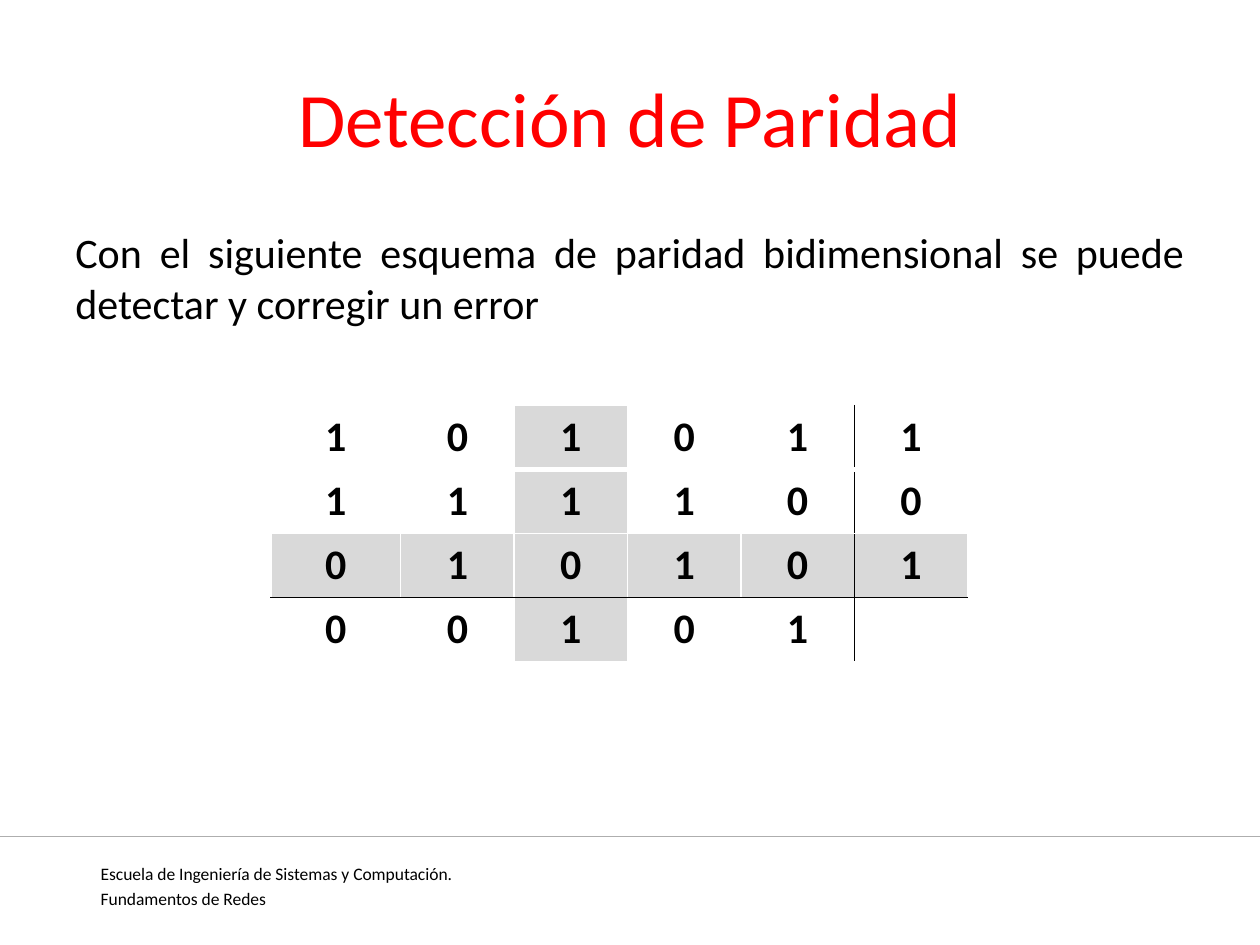
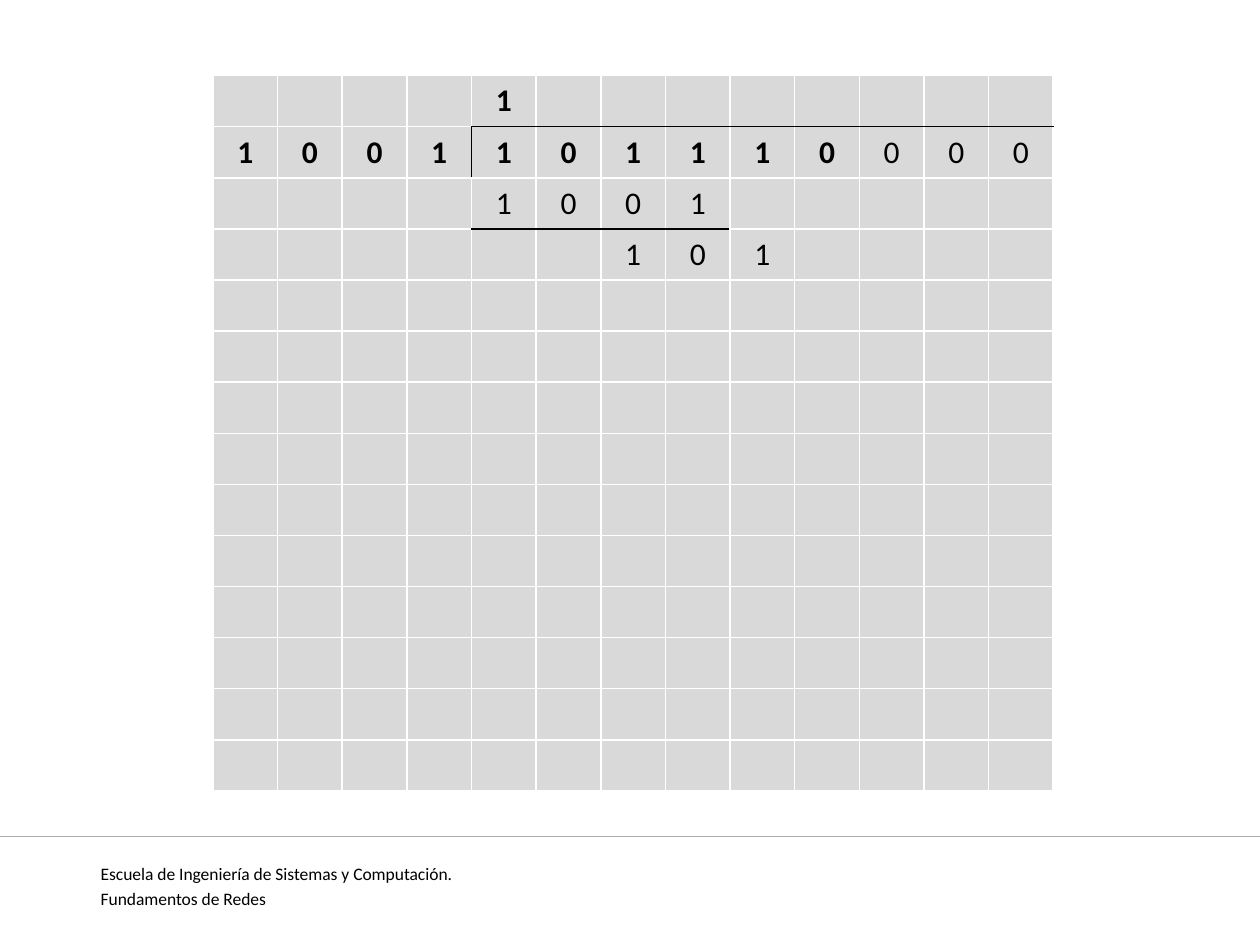
from dataclasses import dataclass

from lxml import etree
from pptx import Presentation
from pptx.dml.color import RGBColor
from pptx.enum.shapes import MSO_CONNECTOR
from pptx.enum.text import MSO_ANCHOR, PP_ALIGN
from pptx.oxml.ns import qn
from pptx.util import Inches, Pt

STRAIGHT = MSO_CONNECTOR.STRAIGHT
MIDDLE = MSO_ANCHOR.MIDDLE
CENTER = PP_ALIGN.CENTER
JUSTIFY = PP_ALIGN.JUSTIFY

FONT = "Calibri"
COLORS = {
    "title": "FF0000",
    "text": "000000",
    "rule": "000000",
    "grid": "FFFFFF",
    "shade": "D9D9D9",
    "footer_line": "AEAEAE",
}
FOOTER = ["Escuela de Ingeniería de Sistemas y Computación.", "Fundamentos de Redes"]
TITLE_ONLY, BLANK = 5, 6


@dataclass(frozen=True)
class Rule:
    """A line on the right ("R") or bottom ("B") side of a block of cells."""
    side: str
    rows: range
    cols: range
    color: str = "rule"
    points: float = 1


@dataclass(frozen=True)
class BitGrid:
    """A table of bits; a space in a row stands for an empty cell."""
    left: float
    top: float
    height: float
    col_widths: list[float]
    bits: list[str]
    size: int
    bold_counts: list[int]  # leading bold cells of each row
    shaded_rows: range
    shaded_cols: range
    rules: list[Rule]


def style(paragraph, size: float, color: str = "text", bold: bool = False,
          align=CENTER) -> None:
    paragraph.alignment = align
    font = paragraph.font
    font.name, font.size, font.bold = FONT, Pt(size), bold
    font.color.rgb = RGBColor.from_string(COLORS[color])


def add_text(slide, left: float, top: float, width: float, height: float,
             lines: list[str], size: float) -> None:
    frame = slide.shapes.add_textbox(
        Inches(left), Inches(top), Inches(width), Inches(height)).text_frame
    frame.word_wrap = True
    frame.text = "\n".join(lines)
    for paragraph in frame.paragraphs:
        style(paragraph, size, align=JUSTIFY)
        paragraph.space_before = Pt(size * 0.2)


def add_footer(slide) -> None:
    add_text(slide, 0.7, 6.8, 8.98, 0.39, FOOTER, 10)
    line = slide.shapes.add_connector(
        STRAIGHT, Inches(0), Inches(6.64), Inches(10), Inches(6.64))
    line.line.color.rgb = RGBColor.from_string(COLORS["footer_line"])
    line.line.width = Pt(0.75)
    etree.SubElement(line._element.spPr, qn("a:effectLst"))


def set_title(slide, text: str) -> None:
    title = slide.shapes.title
    title.left, title.top = Inches(0.5), Inches(0.3)
    title.width, title.height = Inches(9), Inches(1.25)
    title.text_frame.text = text
    title.text_frame.vertical_anchor = MIDDLE
    style(title.text_frame.paragraphs[0], 44, "title")


def add_border(cell, side: str, color: str, points: float) -> None:
    line = etree.SubElement(cell._tc.get_or_add_tcPr(), qn(f"a:ln{side}"),
                            w=str(Pt(points)))
    fill = etree.SubElement(line, qn("a:solidFill"))
    etree.SubElement(fill, qn("a:srgbClr"), val=COLORS[color])


def cell_edges(rules: list[Rule]) -> dict[tuple[int, int, str], tuple[str, float]]:
    """Give each rule to the cells on both of its sides."""
    edges = {}
    for rule in rules:
        for row in rule.rows:
            for col in rule.cols:
                neighbour = (row, col + 1, "L") if rule.side == "R" else (row + 1, col, "T")
                edges[row, col, rule.side] = edges[neighbour] = (rule.color, rule.points)
    return edges


def add_bit_grid(slide, grid: BitGrid) -> None:
    table = slide.shapes.add_table(
        len(grid.bits), len(grid.col_widths), Inches(grid.left), Inches(grid.top),
        Inches(sum(grid.col_widths)), Inches(grid.height)).table
    table.first_row = table.horz_banding = False
    for column, width in zip(table.columns, grid.col_widths):
        column.width = Inches(width)
    edges = cell_edges(grid.rules)
    for row, bits in enumerate(grid.bits):
        for col, bit in enumerate(bits.ljust(len(grid.col_widths))):
            cell = table.cell(row, col)
            cell.text = bit.strip()
            style(cell.text_frame.paragraphs[0], grid.size,
                  bold=col < grid.bold_counts[row])
            for side in "LRTB":
                add_border(cell, side, *edges.get((row, col, side), ("grid", 1)))
            if row in grid.shaded_rows or col in grid.shaded_cols:
                cell.fill.solid()
                cell.fill.fore_color.rgb = RGBColor.from_string(COLORS["shade"])
            else:
                cell.fill.background()


# Parity table
PARITY = BitGrid(
    left=2.15, top=3.22, height=2.03, col_widths=[1.03] + [0.9] * 5,
    bits=["101011", "111100", "010101", "00101"],
    size=24, bold_counts=[6] * 4,
    shaded_rows=range(2, 3), shaded_cols=range(2, 3),
    rules=[
        Rule("B", range(1), range(6), "grid", 3),
        Rule("R", range(4), range(4, 5)),
        Rule("B", range(2, 3), range(6)),
    ],
)

# Division table
DIVISION = BitGrid(
    left=1.69, top=0.6, height=5.68, col_widths=[6.67 / 13] * 13,
    bits=["    1", "1001101110000", "    1001", "      101"] + [""] * 10,
    size=18, bold_counts=[13, 10] + [0] * 12,
    shaded_rows=range(14), shaded_cols=range(13),
    rules=[
        Rule("B", range(1), range(4, 13)),
        Rule("R", range(1, 2), range(3, 4)),
        Rule("B", range(2, 3), range(4, 8)),
    ],
)


def main() -> None:
    deck = Presentation()
    deck.slide_width, deck.slide_height = Inches(10), Inches(7.5)

    # Parity slide
    parity = deck.slides.add_slide(deck.slide_layouts[TITLE_ONLY])
    set_title(parity, "Detección de Paridad")
    add_text(parity, 0.5, 1.75, 9, 1,
             ["Con el siguiente esquema de paridad bidimensional se puede "
              "detectar y corregir un error"], 24)
    add_footer(parity)
    add_bit_grid(parity, PARITY)

    # Division slide
    division = deck.slides.add_slide(deck.slide_layouts[BLANK])
    add_footer(division)
    add_bit_grid(division, DIVISION)

    deck.save("out.pptx")


if __name__ == "__main__":
    main()
